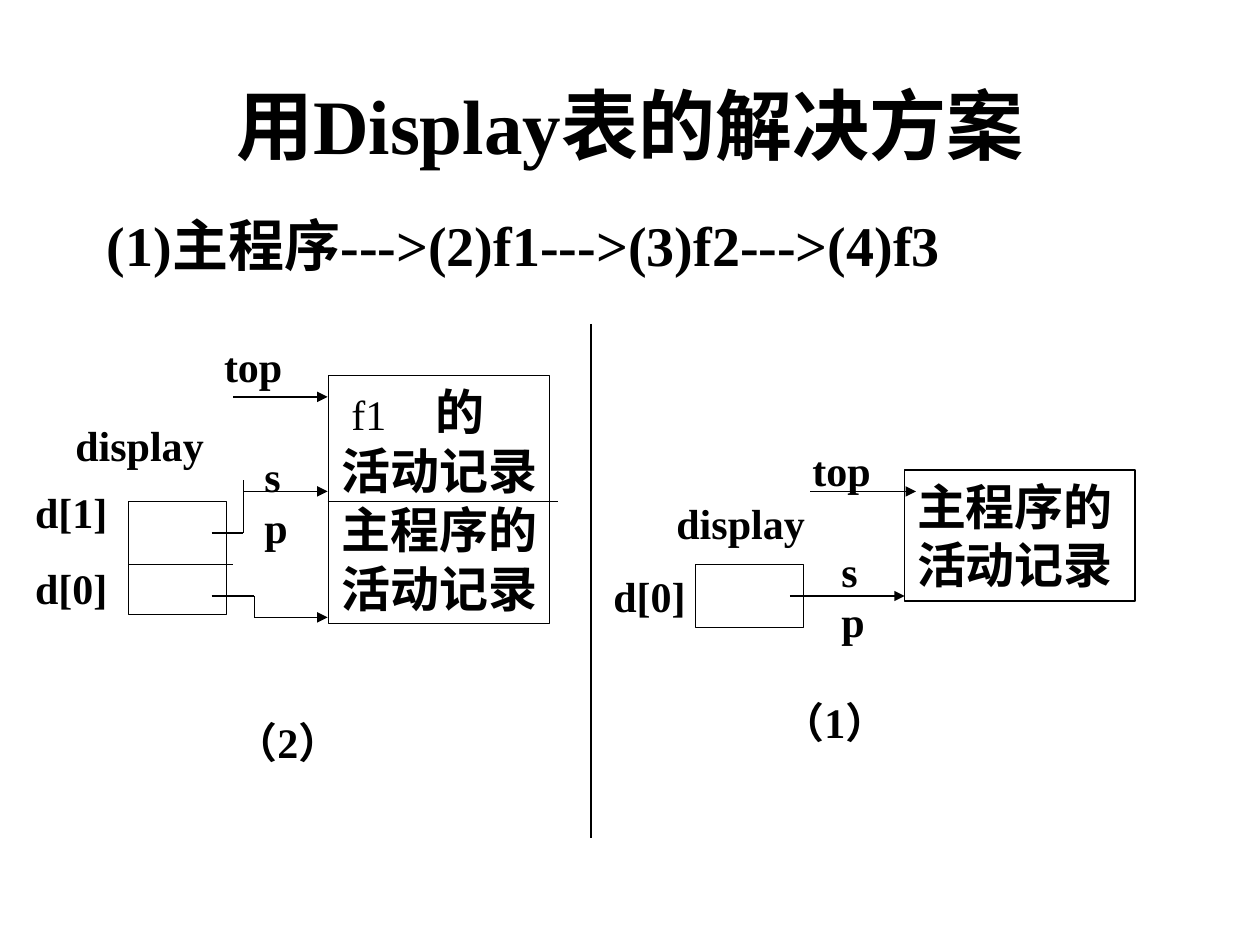
from typing import NamedTuple

import pptx
import pptx.dml.color
import pptx.enum.shapes
import pptx.enum.text
import pptx.oxml
import pptx.oxml.ns
import pptx.util
from pptx.util import Inches

BLACK = pptx.dml.color.RGBColor(0, 0, 0)
FONT = "Times New Roman"
MIDDLE = pptx.enum.text.MSO_ANCHOR.MIDDLE
TOP = pptx.enum.text.MSO_ANCHOR.TOP
LEFT = pptx.enum.text.PP_ALIGN.LEFT
CENTER = pptx.enum.text.PP_ALIGN.CENTER


class Label(NamedTuple):
    text: str
    left: float
    top: float
    width: float
    height: float = 0.5
    wrap: bool = True
    gap: float = 0


class Line(NamedTuple):
    x1: float
    y1: float
    x2: float
    y2: float
    arrow: bool = False


class Record(NamedTuple):
    left: float
    top: float
    width: float
    height: float
    text: str = ""


def format_span(span, size: float, bold: bool = True) -> None:
    span.font.name = FONT
    span.font.size = pptx.util.Pt(size)
    span.font.bold = bold
    span.font.color.rgb = BLACK


def write(shape, text: str, *, size: float = 24, wrap: bool = True,
          gap: float = 0, align=LEFT, anchor=TOP) -> None:
    """Write one paragraph per line, with a gap between paragraphs."""
    frame = shape.text_frame
    frame.word_wrap = wrap
    frame.vertical_anchor = anchor
    for number, line in enumerate(text.split("\n")):
        para = frame.add_paragraph() if number else frame.paragraphs[0]
        para.alignment = align
        para.space_before = pptx.util.Pt(gap if number else 0)
        span = para.add_run()
        span.text = line
        format_span(span, size)


def add_label(page, label: Label, size: float = 24) -> None:
    box = page.shapes.add_textbox(*map(Inches, label[1:5]))
    write(box, label.text, size=size, wrap=label.wrap, gap=label.gap)


def add_record(page, record: Record):
    box = page.shapes.add_shape(pptx.enum.shapes.MSO_SHAPE.RECTANGLE,
                                *map(Inches, record[:4]))
    box.shadow.inherit = False
    box.fill.background()
    box.line.color.rgb = BLACK
    box.line.width = pptx.util.Pt(0.75)
    if record.text:
        box.text_frame.margin_right = Inches(0.05)
        write(box, record.text, size=28)
    return box


def add_line(page, line: Line) -> None:
    connector = page.shapes.add_connector(
        pptx.enum.shapes.MSO_CONNECTOR.STRAIGHT, *map(Inches, line[:4]))
    connector.line.color.rgb = BLACK
    connector.line.width = pptx.util.Pt(0.75)
    namespace = pptx.oxml.ns.nsdecls("a")
    if line.arrow:
        connector.line._get_or_add_ln().append(pptx.oxml.parse_xml(
            f'<a:tailEnd {namespace} type="triangle"/>'))
    connector._element.spPr.append(
        pptx.oxml.parse_xml(f'<a:effectLst {namespace}/>'))


def add_f1_name(box) -> None:
    """Set the light name f1 and a widened space before the first line's end."""
    para = box.text_frame.paragraphs[0]
    properties = para._p.get_or_add_pPr()
    properties.set("marL", str(Inches(0.08)))
    properties.set("indent", "0")
    name = para.runs[0]
    name.text = "f1"
    format_span(name, 24, bold=False)
    space, ending = para.add_run(), para.add_run()
    space.text, ending.text = " ", "的"
    for span in (space, ending):
        format_span(span, 28)
    space._r.get_or_add_rPr().set("spc", "2100")


RECORDS = [
    Record(1.02, 3.98, 0.78, 0.9),
    Record(7.18, 3.73, 1.83, 1.04, "主程序的\n活动记录"),
    Record(5.52, 4.48, 0.86, 0.5),
]

LINES = [
    # Stack and display dividers on the left
    Line(2.6, 3.98, 4.43, 3.98),
    Line(1.02, 4.48, 1.85, 4.48),
    # d[1] to f1
    Line(1.68, 4.23, 1.93, 4.23),
    Line(1.93, 4.23, 1.93, 3.81),
    Line(1.93, 3.9, 2.6, 3.9, True),
    # d[0] to the main program
    Line(1.68, 4.73, 2.02, 4.73),
    Line(2.02, 4.73, 2.02, 4.9),
    Line(2.02, 4.9, 2.6, 4.9, True),
    # Top pointers and the right-hand sp
    Line(1.85, 3.15, 2.6, 3.15, True),
    Line(6.43, 3.9, 7.27, 3.9, True),
    Line(6.27, 4.73, 7.18, 4.73, True),
    # Divider between the two states
    Line(4.69, 2.57, 4.69, 6.65),
]

LABELS = [
    Label("d[1]\nd[0]", 0.18, 3.81, 1, 1.11, gap=15),
    Label("display", 0.5, 3.28, 1.22, wrap=False),
    Label("sp", 2, 3.53, 0.51, wrap=False),
    Label("top", 1.68, 2.65, 1.06),
    Label("（2）", 1.77, 5.64, 1.33),
    Label("d[0]", 4.77, 4.48, 0.83),
    Label("display", 5.27, 3.9, 1.22, wrap=False),
    Label("sp", 6.58, 4.28, 0.51, wrap=False),
    Label("top", 6.35, 3.48, 0.77),
    Label("（1）", 6.11, 5.48, 1.19, wrap=False),
]


def main() -> None:
    deck = pptx.Presentation()
    deck.slide_width, deck.slide_height = Inches(10), Inches(7.5)
    page = deck.slides.add_slide(deck.slide_layouts[5])

    # Title and call order
    title = page.shapes.title
    title.left, title.top = Inches(0.75), Inches(0.36)
    title.width, title.height = Inches(8.5), Inches(1.25)
    write(title, "用Display表的解决方案", size=44, align=CENTER, anchor=MIDDLE)
    add_label(page, Label("(1)主程序--->(2)f1--->(3)f2--->(4)f3",
                          0.75, 1.62, 8.5, 0.7), size=32)

    # Activation records and display tables
    stack = add_record(page, Record(2.61, 2.98, 1.75, 1.97,
                                    "f1\n活动记录\n主程序的\n活动记录"))
    add_f1_name(stack)
    for record in RECORDS:
        add_record(page, record)

    # Pointers and labels
    for line in LINES:
        add_line(page, line)
    for label in LABELS:
        add_label(page, label)

    deck.save("out.pptx")


if __name__ == "__main__":
    main()
